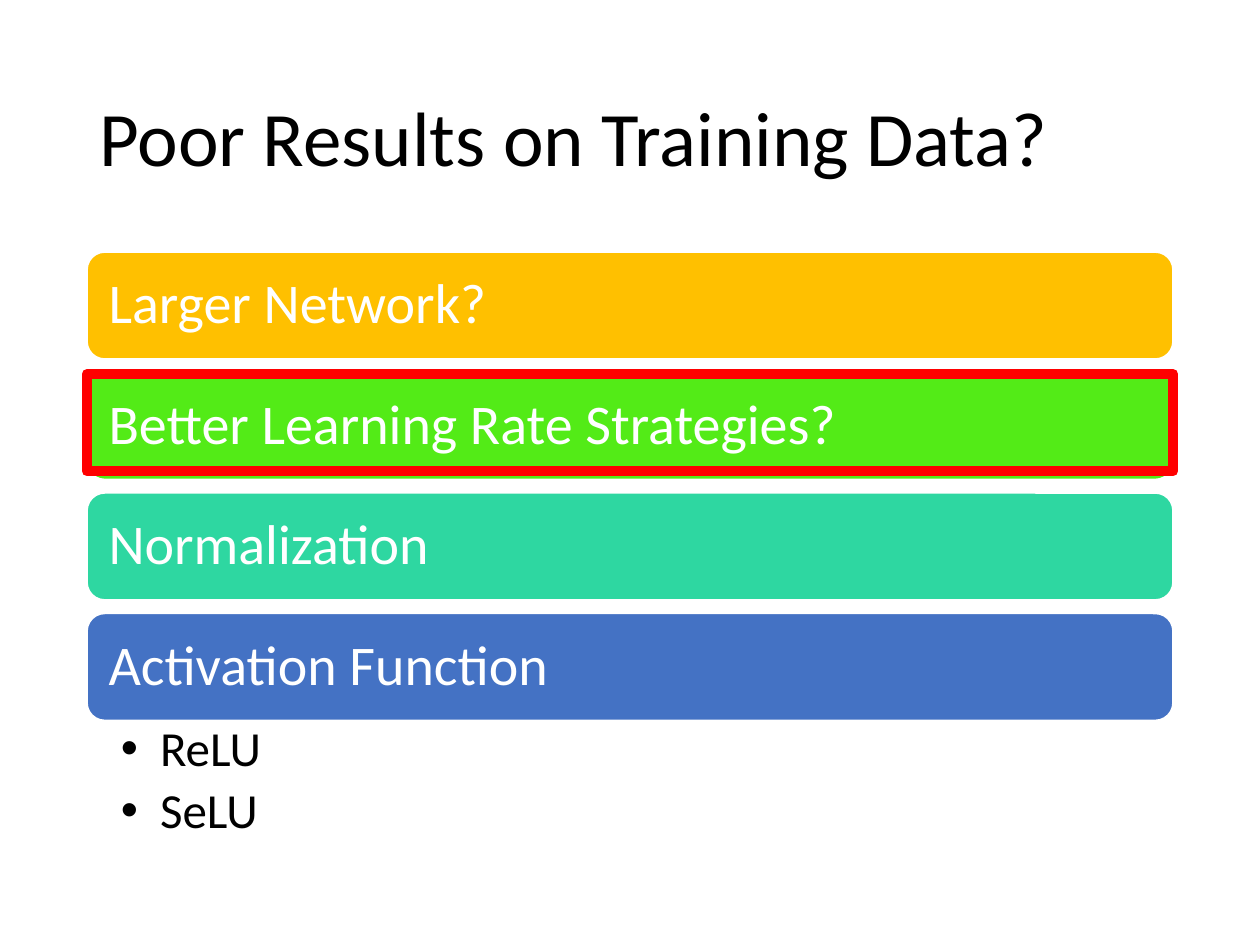
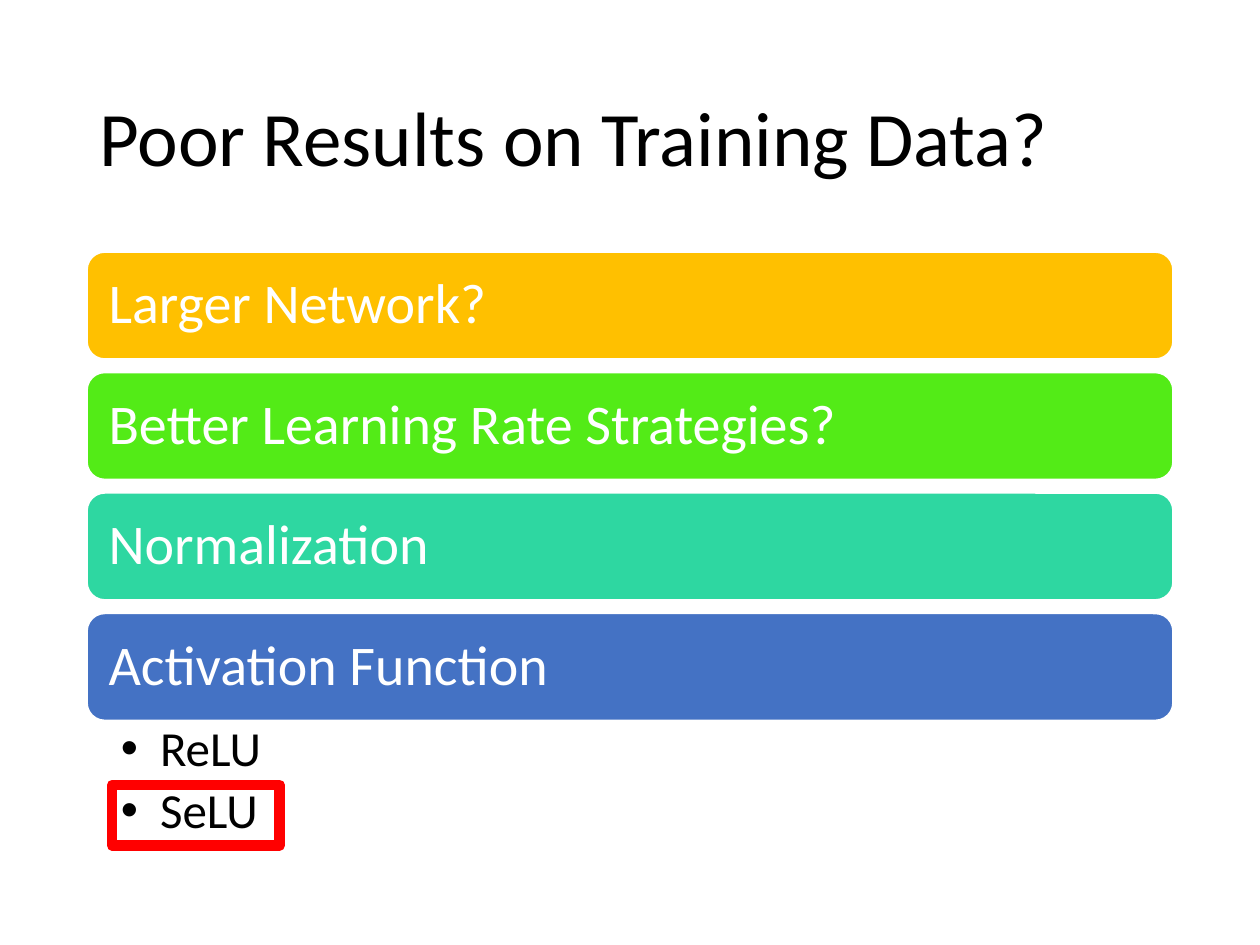
from dataclasses import dataclass

from lxml import etree
from pptx import Presentation
from pptx.dml.color import RGBColor
from pptx.enum.shapes import MSO_SHAPE
from pptx.enum.text import MSO_ANCHOR, PP_ALIGN
from pptx.oxml.ns import qn
from pptx.util import Inches, Pt

ROUND, RECT = MSO_SHAPE.ROUNDED_RECTANGLE, MSO_SHAPE.RECTANGLE
TOP, MIDDLE = MSO_ANCHOR.TOP, MSO_ANCHOR.MIDDLE
LEFT = PP_ALIGN.LEFT

# Shared look
FONT = "Calibri"
COLORS = {
    "black": "000000", "white": "FFFFFF", "red": "FF0000",
    "gold": "FFC000", "green": "53EB17", "mint": "2ED7A1", "blue": "4472C4",
}
EDGE, WIDTH = 0.69, 8.62
BAR_TOP, BAR_STEP, BAR_HIGH = 2.0, 0.956, 0.85
HANG = 0.31


@dataclass(frozen=True)
class Box:
    left: float
    top: float
    width: float
    height: float

    def place(self) -> list:
        return [Inches(n) for n in (self.left, self.top, self.width, self.height)]


@dataclass(frozen=True)
class Style:
    size: int
    color: str
    anchor: object
    pads: tuple  # left, top, right, bottom
    after: float = 0
    bullet: bool = False


@dataclass(frozen=True)
class Bar:
    text: str
    color: str


HEAD = Style(44, "black", MIDDLE, (0.1, 0.05, 0.1, 0.05))
LABEL = Style(32, "white", MIDDLE, (0.13,) * 4)
ITEM = Style(28, "black", TOP, (0.27, 0.04, 0.22, 0.04), after=5, bullet=True)

TITLE = "Poor Results on Training Data?"
BARS = (
    Bar("Larger Network?", "gold"),
    Bar("Better Learning Rate Strategies?", "green"),
    Bar("Normalization", "mint"),
    Bar("Activation Function", "blue"),
)
ITEMS = ("ReLU", "SeLU")
# One red frame per slide
FRAMES = (Box(EDGE, 2.97, WIDTH, 0.77), Box(0.89, 6.23, 1.33, 0.48))


def paint(name: str) -> RGBColor:
    return RGBColor.from_string(COLORS[name])


def apply(target, values: dict) -> None:
    for name, value in values.items():
        setattr(target, name, value)


def add_bullet(para) -> None:
    para.level = 1
    props = para._p.get_or_add_pPr()
    props.set("marL", str(Inches(HANG)))
    props.set("indent", str(-Inches(HANG)))
    etree.SubElement(props, qn("a:buFont")).set("typeface", "Arial")
    etree.SubElement(props, qn("a:buChar")).set("char", "•")


def write(shape, lines: tuple, style: Style) -> None:
    frame = shape.text_frame
    sides = ("margin_left", "margin_top", "margin_right", "margin_bottom")
    apply(frame, {"word_wrap": True, "vertical_anchor": style.anchor})
    apply(frame, dict(zip(sides, map(Inches, style.pads))))
    frame.text = "\n".join(lines)
    for para in frame.paragraphs:
        apply(para, {"alignment": LEFT, "line_spacing": 0.9,
                     "space_after": Pt(style.after)})
        if style.bullet:
            add_bullet(para)
        font = para.runs[0].font
        apply(font, {"name": FONT, "size": Pt(style.size)})
        font.color.rgb = paint(style.color)


def add_text(slide, box: Box, lines: tuple, style: Style) -> None:
    write(slide.shapes.add_textbox(*box.place()), lines, style)


def add_form(slide, kind, box: Box, fill: str | None, line: str, weight: float):
    form = slide.shapes.add_shape(kind, *box.place())
    form.shadow.inherit = False
    if fill:
        form.fill.solid()
        form.fill.fore_color.rgb = paint(fill)
    else:
        form.fill.background()
    form.line.color.rgb = paint(line)
    form.line.width = Pt(weight)
    return form


def add_page(deck, frame: Box) -> None:
    slide = deck.slides.add_slide(deck.slide_layouts[6])
    add_text(slide, Box(EDGE, 0.4, WIDTH, 1.45), (TITLE,), HEAD)
    # Stack of topic bars
    for row, bar in enumerate(BARS):
        box = Box(EDGE, BAR_TOP + row * BAR_STEP, WIDTH, BAR_HIGH)
        form = add_form(slide, ROUND, box, bar.color, "white", 1)
        write(form, (bar.text,), LABEL)
    # Bullets under the last bar
    add_text(slide, Box(EDGE, 5.71, WIDTH, 1.04), ITEMS, ITEM)
    add_form(slide, RECT, frame, None, "red", 6)


def main() -> None:
    deck = Presentation()
    apply(deck, {"slide_width": Inches(10), "slide_height": Inches(7.5)})
    for frame in FRAMES:
        add_page(deck, frame)
    deck.save("out.pptx")


if __name__ == "__main__":
    main()
